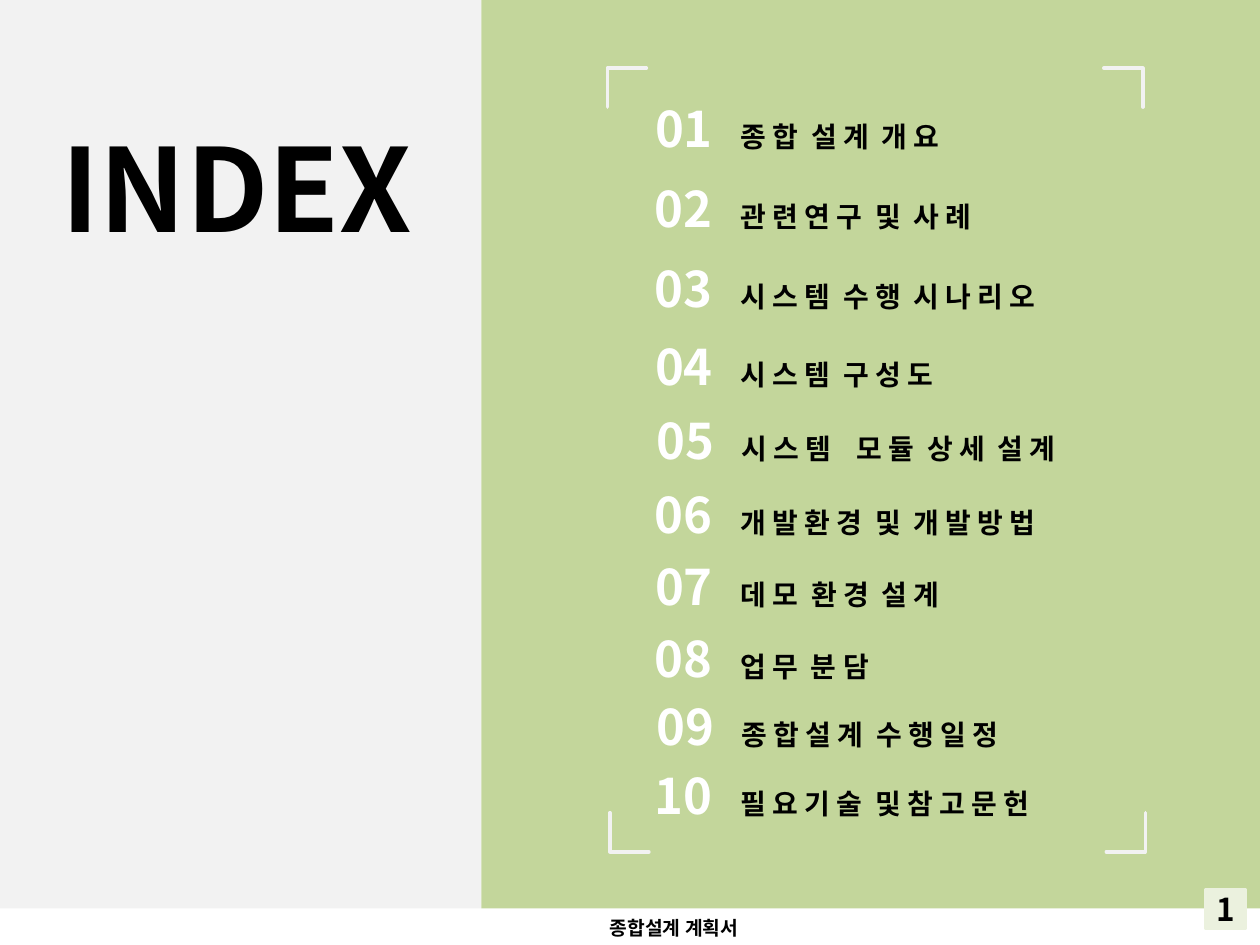
from lxml import etree
from pptx import Presentation
from pptx.dml.color import RGBColor
from pptx.enum.shapes import MSO_SHAPE as Shape
from pptx.enum.text import MSO_ANCHOR as Anchor, PP_ALIGN as Align
from pptx.oxml.ns import qn
from pptx.util import Inches, Pt

COLORS = {
    "panel": "F2F2F2",
    "green": "C3D69B",
    "pale": "EBF1DE",
    "blue": "4F81BD",
    "white": "FFFFFF",
    "black": "000000",
}
FONT = "Noto Sans CJK KR"

# Number, label, left, top and width of each entry
ENTRIES = [
    ("01", "종 합  설 계  개 요", 5.1, 0.73, 2.82),
    ("02", "관 련 연 구  및  사 례", 5.1, 1.37, 3.13),
    ("03", "시 스 템  수 행  시 나 리 오", 5.1, 2, 3.73),
    ("04", "시 스 템  구 성 도", 5.1, 2.62, 2.75),
    ("05", "시 스 템    모 듈  상 세  설 계", 5.11, 3.21, 3.97),
    ("06", "개 발 환 경  및  개 발 방 법", 5.1, 3.8, 3.73),
    ("07", "데 모  환 경  설 계", 5.1, 4.37, 2.82),
    ("08", "업 무  분 담", 5.1, 4.94, 2.14),
    ("09", "종 합 설 계  수 행 일 정", 5.11, 5.48, 3.35),
    ("10", "필 요 기 술  및 참 고 문 헌", 5.1, 6.03, 3.66),
]

# Left, top and rotation of each frame corner
CORNERS = [(4.82, 0.54, 0), (8.76, 0.54, 90), (4.84, 6.45, 270), (8.78, 6.45, 180)]


def add_text(paragraph, text, size=18, color="black", font=FONT):
    run = paragraph.add_run()
    run.text = text
    run.font.size = Pt(size)
    run.font.bold = True
    run.font.name = font
    run.font.color.rgb = RGBColor.from_string(COLORS[color])
    properties = run.font._element
    etree.SubElement(properties, qn("a:ea")).set("typeface", FONT)


class IndexSlide:
    def __init__(self, slide):
        self.slide = slide

    def box(self, left, top, width, height, fill, line=None, kind=Shape.RECTANGLE):
        shape = self.slide.shapes.add_shape(
            kind, Inches(left), Inches(top), Inches(width), Inches(height))
        shape.shadow.inherit = False
        shape.fill.solid()
        shape.fill.fore_color.rgb = RGBColor.from_string(COLORS[fill])
        if line:
            shape.line.color.rgb = RGBColor.from_string(COLORS[line])
            shape.line.width = Pt(2)
        else:
            shape.line.fill.background()
        return shape

    def corner(self, left, top, rotation):
        shape = self.box(left, top, 0.31, 0.31, "blue", "panel", Shape.HALF_FRAME)
        shape.adjustments[0] = shape.adjustments[1] = 0
        shape.rotation = rotation

    def text_box(self, left, top, width, height):
        shape = self.slide.shapes.add_textbox(
            Inches(left), Inches(top), Inches(width), Inches(height))
        shape.text_frame.word_wrap = True
        return shape.text_frame.paragraphs[0]

    def entry(self, number, label, left, top, width):
        paragraph = self.text_box(left, top, width, 0.57)
        # A tab stop lines up the labels
        stops = etree.SubElement(paragraph._p.get_or_add_pPr(), qn("a:tabLst"))
        stop = etree.SubElement(stops, qn("a:tab"))
        stop.set("pos", str(Inches(0.68)))
        stop.set("algn", "l")
        add_text(paragraph, number, size=28, color="white")
        add_text(paragraph, "\t" + label, size=16)

    def page_number(self, number):
        shape = self.box(9.57, 7.06, 0.31, 0.31, "pale", "pale")
        frame = shape.text_frame
        frame.word_wrap = False
        frame.vertical_anchor = Anchor.MIDDLE
        frame.paragraphs[0].alignment = Align.CENTER
        add_text(frame.paragraphs[0], number)


def main():
    presentation = Presentation()
    presentation.slide_width = Inches(10)
    presentation.slide_height = Inches(7.5)
    index = IndexSlide(presentation.slides.add_slide(presentation.slide_layouts[6]))

    # Panels and title
    index.box(0, 0, 3.82, 7.21, "panel")
    add_text(index.text_box(0.39, 0.88, 3.04, 1.21), "INDEX", size=66)
    index.box(3.82, 0, 6.18, 7.21, "green")

    # Framed list of contents
    for corner in CORNERS:
        index.corner(*corner)
    for entry in ENTRIES:
        index.entry(*entry)

    # Footer
    index.page_number("1")
    add_text(index.text_box(4.74, 7.22, 1.34, 0.29), "종합설계 계획서", size=11, font="Arial")

    presentation.save("out.pptx")


if __name__ == "__main__":
    main()
